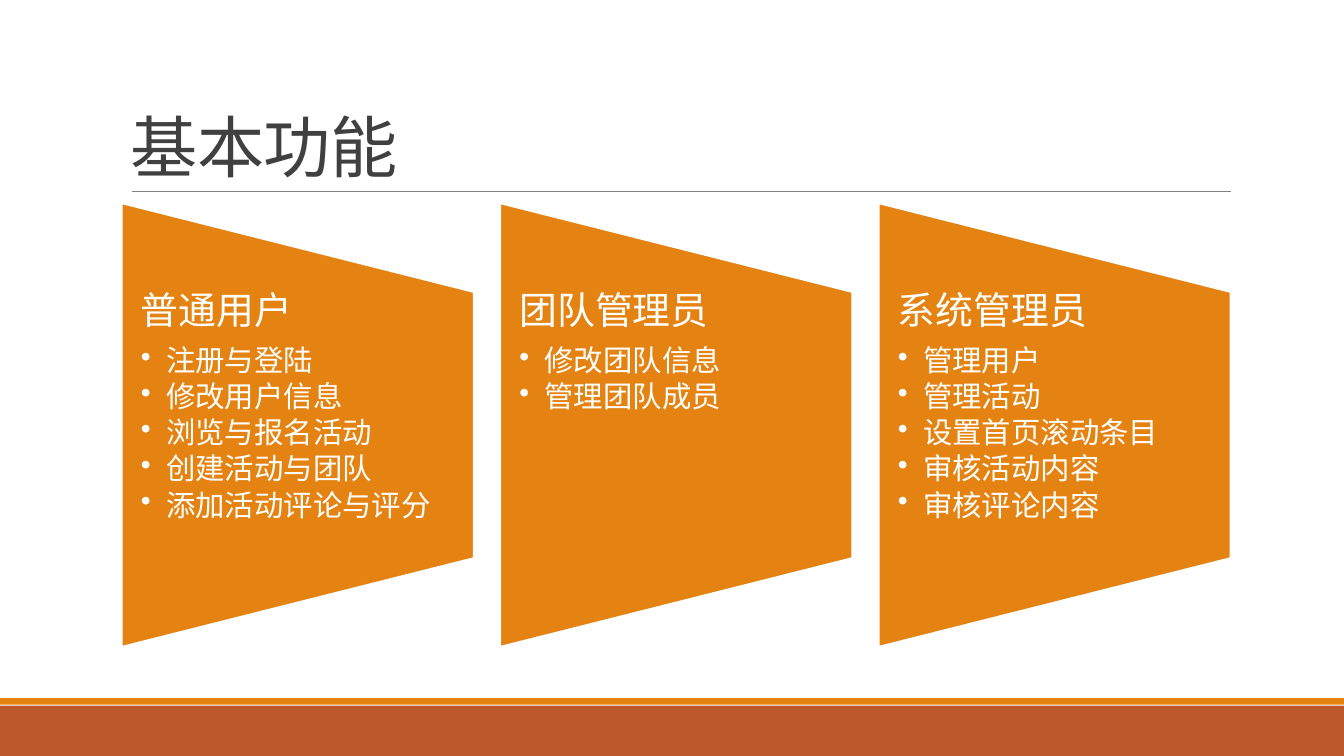
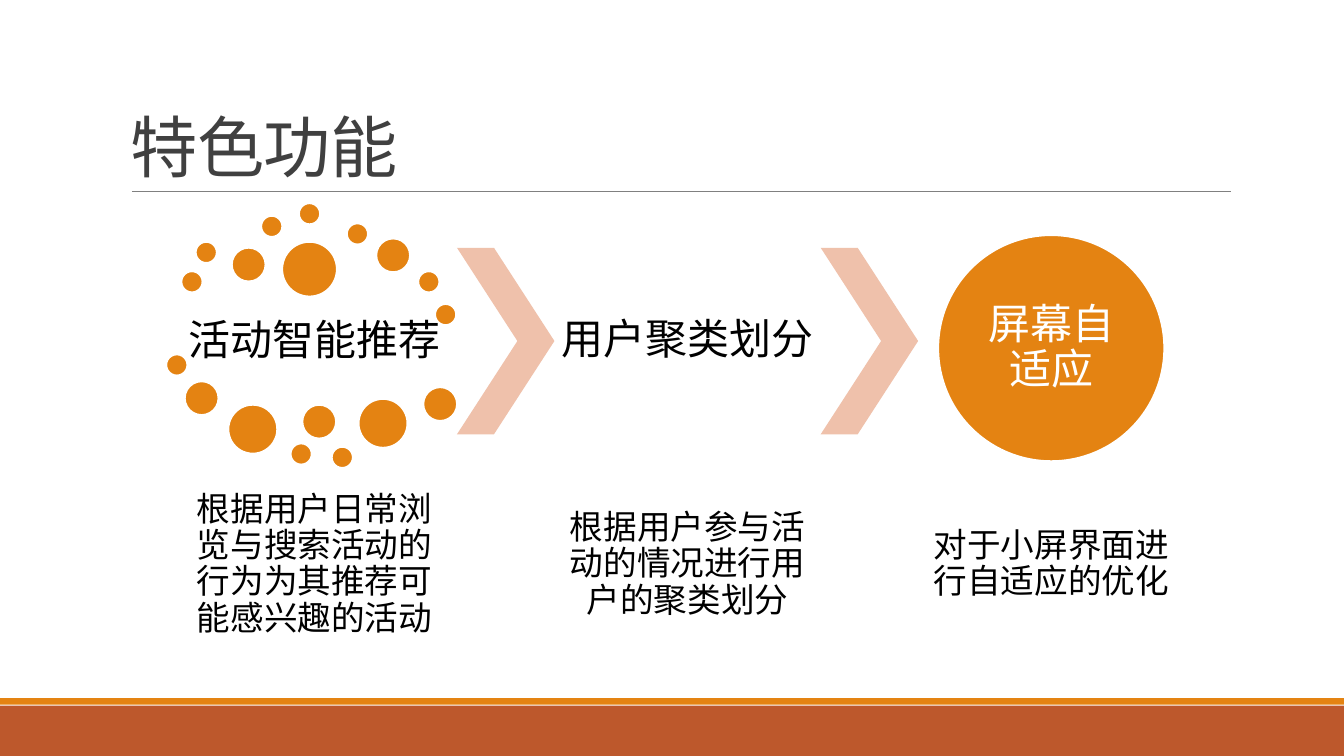
from lxml.etree import SubElement
from pptx import Presentation
from pptx.dml.color import RGBColor
from pptx.enum.lang import MSO_LANGUAGE_ID
from pptx.enum.shapes import MSO_CONNECTOR, MSO_SHAPE
from pptx.enum.text import MSO_ANCHOR, PP_ALIGN
from pptx.oxml.ns import qn
from pptx.util import Inches, Pt

COLORS = {
    "orange": "E48312",
    "rust": "BD582C",
    "peach": "EFC1AB",
    "rule": "808080",
    "title": "404040",
    "black": "000000",
    "white": "FFFFFF",
}

ROLES = [
    ("普通用户", ["注册与登陆", "修改用户信息", "浏览与报名活动", "创建活动与团队", "添加活动评论与评分"]),
    ("团队管理员", ["修改团队信息", "管理团队成员"]),
    ("系统管理员", ["管理用户", "管理活动", "设置首页滚动条目", "审核活动内容", "审核评论内容"]),
]

DOTS = {
    2.5: [(21.6, 32.3), (23.3, 28.8), (31.1, 25.7), (35.6, 24.2), (41.3, 26.6), (49.8, 32.3),
          (51.8, 36.2), (19.8, 42.2), (34.6, 52.8), (39.5, 53.2)],
    4: [(27.6, 29.5), (44.8, 28.4), (22, 45.4), (36, 48.2), (50.4, 46.1)],
    5.8: [(27.2, 48.2), (42.7, 47.5)],
    6.5: [(33.6, 28.8)],
}

CAPTIONS = [
    (21.6, "根据用户日常浏览与搜索活动的行为为其推荐可能感兴趣的活动"),
    (66, "根据用户参与活动的情况进行用户的聚类划分"),
    (109.3, "对于小屏界面进行自适应的优化"),
]


class Deck:
    """Slide style and drawing methods on a grid of 160 columns by 90 rows."""

    def __init__(self):
        self.prs = Presentation()
        self.prs.slide_width = Inches(13.333)
        self.prs.slide_height = Inches(7.5)
        self.s = None

    def grid(self, *cells):
        return [round(c * self.prs.slide_height / 90) for c in cells]

    def color(self, name):
        return RGBColor.from_string(COLORS[name])

    def slide(self, title):
        self.s = self.prs.slides.add_slide(self.prs.slide_layouts[6])
        self.shape(MSO_SHAPE.RECTANGLE, 0, 84, 160, 6, "rust")
        self.shape(MSO_SHAPE.RECTANGLE, 0, 83.1, 160, 0.8, "orange")
        self.rule(15.7, 146.5, 22.8)
        tf = self.text_box(14.4, 3.7, 132, 19.1, (0.1, 0.05, 0.1, 0.05), MSO_ANCHOR.BOTTOM)
        r = self.para(tf.paragraphs[0], title, 48, "title", spacing=0.85)
        r._r.get_or_add_rPr().set("spc", "-50")

    def shape(self, kind, x, y, w, h, fill, line=None):
        sp = self.s.shapes.add_shape(kind, *self.grid(x, y, w, h))
        sp.shadow.inherit = False
        sp.fill.solid()
        sp.fill.fore_color.rgb = self.color(fill)
        if line:
            sp.line.color.rgb = self.color(line)
            sp.line.width = Pt(1.25)
        else:
            sp.line.fill.background()
        return sp

    def rule(self, x1, x2, y):
        cx = self.s.shapes.add_connector(MSO_CONNECTOR.STRAIGHT, *self.grid(x1, y, x2, y))
        cx.line.color.rgb = self.color("rule")
        cx.line.width = Pt(0.5)
        SubElement(cx._element.spPr, qn("a:effectLst"))

    def frame(self, sp, insets, anchor):
        tf = sp.text_frame
        tf.word_wrap = True
        tf.vertical_anchor = anchor
        tf.margin_left, tf.margin_top, tf.margin_right, tf.margin_bottom = map(Inches, insets)
        return tf

    def text_box(self, x, y, w, h, insets, anchor):
        sp = self.s.shapes.add_textbox(*self.grid(x, y, w, h))
        return self.frame(sp, insets, anchor)

    def para(self, p, text, size, color, align=PP_ALIGN.LEFT, spacing=0.9, after=0):
        p.text = text
        p.alignment = align
        p.line_spacing = spacing
        p.space_after = Pt(size * after)
        r = p.runs[0]
        r.font.name = "Calibri"
        r.font.size = Pt(size)
        r.font.color.rgb = self.color(color)
        r.font.language_id = MSO_LANGUAGE_ID.SIMPLIFIED_CHINESE
        return r

    def bullet(self, p, text):
        self.para(p, text, 21, "white", after=0.15)
        pPr = p._p.get_or_add_pPr()
        pPr.set("marL", str(Inches(0.25)))
        pPr.set("indent", str(-Inches(0.25)))
        SubElement(pPr, qn("a:buChar")).set("char", "•")

    def panel(self, x, y, w, h, heading, items):
        sp = self.shape(MSO_SHAPE.FLOWCHART_MANUAL_OPERATION,
                        x + (w - h) / 2, y + (h - w) / 2, h, w, "orange", "white")
        sp.rotation = 270
        tf = self.text_box(x, y + h / 5, w, h * 0.6, (0.19, 0, 0.18, 0), MSO_ANCHOR.TOP)
        self.para(tf.paragraphs[0], heading, 27, "white", after=0.35)
        for item in items:
            self.bullet(tf.add_paragraph(), item)

    def label(self, x, y, w, h, text, size):
        tf = self.text_box(x, y, w, h, (0.04,) * 4, MSO_ANCHOR.MIDDLE)
        self.para(tf.paragraphs[0], text, size, "black", PP_ALIGN.CENTER)

    def circle(self, x, y, d, text=None):
        sp = self.shape(MSO_SHAPE.OVAL, x, y, d, d, "orange", "white")
        if text:
            tf = self.frame(sp, (0,) * 4, MSO_ANCHOR.MIDDLE)
            self.para(tf.paragraphs[0], text, 30, "white", PP_ALIGN.CENTER)

    def chevron(self, x, y, w, h):
        sp = self.shape(MSO_SHAPE.CHEVRON, x, y, w, h, "peach")
        sp.adjustments[0] = 0.62


def main():
    deck = Deck()

    deck.slide("基本功能")
    for i, (heading, items) in enumerate(ROLES):
        deck.panel(14.5 + 45.05 * i, 24.2, 41.9, 52.8, heading, items)

    deck.slide("特色功能")
    for d, places in DOTS.items():
        for x, y in places:
            deck.circle(x, y, d)
    for x in (54.4, 97.7):
        deck.chevron(x, 29.5, 11.6, 22.2)
    deck.label(21.6, 35.5, 31.7, 10.4, "活动智能推荐", 30)
    deck.label(66, 29.5, 31.7, 22.2, "用户聚类划分", 30)
    deck.circle(111.7, 28, 26.9, "屏幕自适应")
    for x, text in CAPTIONS:
        deck.label(x, 57.5, 31.7, 19.5, text, 24)

    deck.prs.save("out.pptx")


if __name__ == "__main__":
    main()
